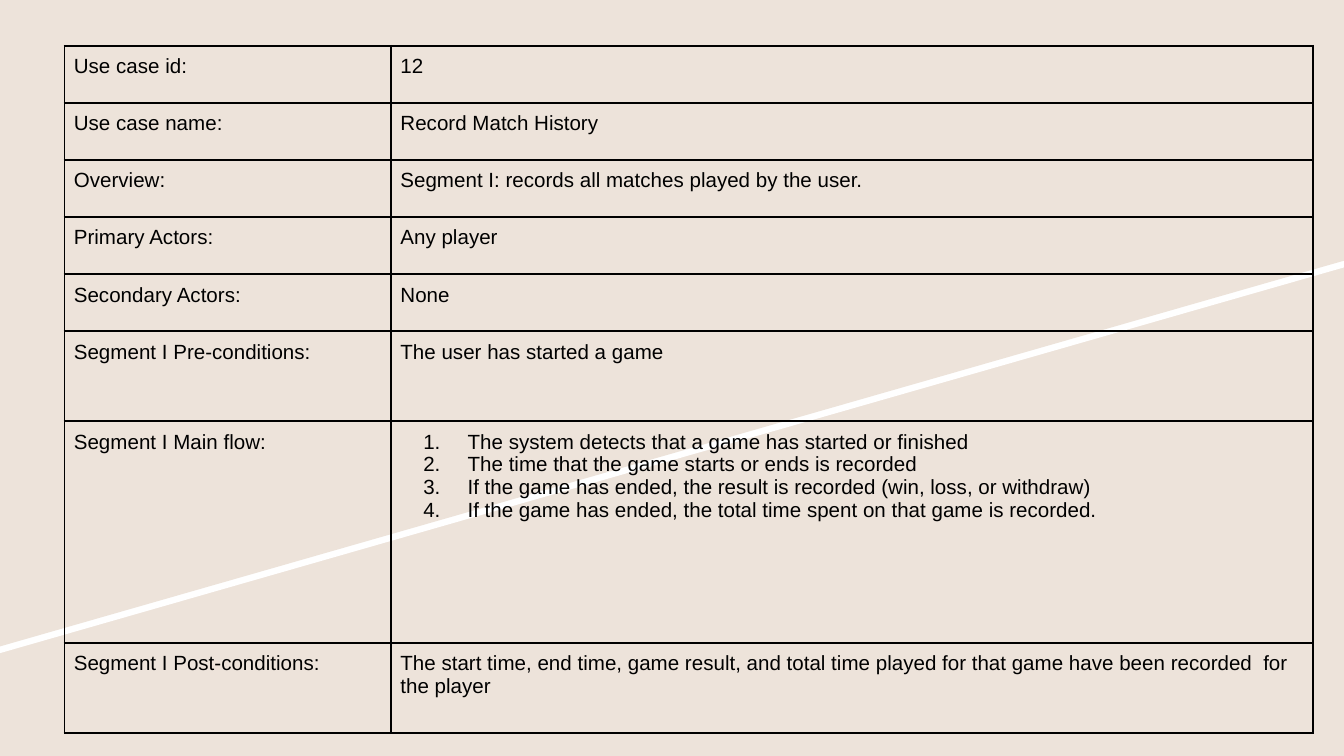
from dataclasses import dataclass

from lxml.etree import SubElement
from pptx import Presentation
from pptx.dml.color import RGBColor
from pptx.oxml import parse_xml
from pptx.oxml.ns import nsdecls, qn
from pptx.slide import Slide
from pptx.table import _Cell
from pptx.text.text import _Paragraph
from pptx.util import Inches, Pt

BEIGE = RGBColor(0xED, 0xE3, 0xDA)
WHITE = RGBColor(0xFF, 0xFF, 0xFF)
BLACK = RGBColor(0x00, 0x00, 0x00)

PAGE_WIDTH = 10
PAGE_HEIGHT = PAGE_WIDTH * 9 / 16
COLUMN_WIDTHS = (2.43, 6.86)
TALL_ROW = 0.67
SHORT_ROW = 0.85 / 2
CELL_INSET = Inches(0.07)
BORDER_WIDTH = Pt(1)


@dataclass
class UseCaseRow:
    label: str
    lines: tuple[str, ...]
    height: float = SHORT_ROW
    numbered: bool = False


ROWS = (
    UseCaseRow("Use case id:", ("12",)),
    UseCaseRow("Use case name:", ("Record Match History",)),
    UseCaseRow("Overview:", ("Segment I: records all matches played by the user.",)),
    UseCaseRow("Primary Actors:", ("Any player",)),
    UseCaseRow("Secondary Actors:", ("None",)),
    UseCaseRow("Segment I Pre-conditions:", ("The user has started a game",), TALL_ROW),
    UseCaseRow(
        "Segment I Main flow:",
        (
            "The system detects that a game has started or finished",
            "The time that the game starts or ends is recorded",
            "If the game has ended, the result is recorded (win, loss, or withdraw)",
            "If the game has ended, the total time spent on that game is recorded.",
        ),
        1.65,
        numbered=True,
    ),
    UseCaseRow(
        "Segment I Post-conditions:",
        ("The start time, end time, game result, and total time played "
         "for that game have been recorded  for the player",),
        TALL_ROW,
    ),
)


def add_slanted_panel(page: Slide, top: float, color: RGBColor) -> None:
    """Draw a full-width panel whose lower edge rises to the right."""
    builder = page.shapes.build_freeform(0, Inches(top))
    corners = ((PAGE_WIDTH, top), (PAGE_WIDTH, top + 1.94), (0, top + 4.81))
    builder.add_line_segments([(Inches(x), Inches(y)) for x, y in corners])
    panel = builder.convert_to_shape()
    panel.shadow.inherit = False
    panel.fill.solid()
    panel.fill.fore_color.rgb = color
    panel.line.fill.background()


def number_paragraph(para: _Paragraph) -> None:
    """Give a paragraph a black automatic number and a hanging indent."""
    properties = para._p.get_or_add_pPr()
    properties.set("marL", str(Inches(0.5)))
    properties.set("indent", str(Inches(-0.33)))
    bullet_color = SubElement(properties, qn("a:buClr"))
    SubElement(bullet_color, qn("a:srgbClr"), val=str(BLACK))
    SubElement(properties, qn("a:buAutoNum"), type="arabicPeriod")


def add_borders(cell: _Cell) -> None:
    """Outline all four sides of a cell."""
    properties = cell._tc.get_or_add_tcPr()
    for position, side in enumerate(("lnL", "lnR", "lnT", "lnB")):
        border = parse_xml(
            f'<a:{side} {nsdecls("a")} w="{BORDER_WIDTH}"><a:solidFill>'
            f'<a:srgbClr val="{BLACK}"/></a:solidFill></a:{side}>'
        )
        properties.insert(position, border)


def fill_cell(cell: _Cell, lines: tuple[str, ...], numbered: bool = False) -> None:
    """Write the lines of a cell and set its look."""
    cell.margin_left = cell.margin_right = CELL_INSET
    cell.margin_top = cell.margin_bottom = CELL_INSET
    cell.fill.background()
    add_borders(cell)
    frame = cell.text_frame
    for index, line in enumerate(lines):
        para = frame.add_paragraph() if index else frame.paragraphs[0]
        span = para.add_run()
        span.text = line
        span.font.name = "Arial"
        span.font.size = Pt(11)
        span.font.color.rgb = BLACK
        if numbered:
            number_paragraph(para)


def add_use_case_table(page: Slide, rows: tuple[UseCaseRow, ...]) -> None:
    """Add the two-column table of labels and descriptions."""
    frame = page.shapes.add_table(
        len(rows), len(COLUMN_WIDTHS), Inches(0.48), Inches(0.34),
        Inches(sum(COLUMN_WIDTHS)), Inches(sum(row.height for row in rows)),
    )
    table = frame.table
    table.first_row = table.horz_banding = False
    for column, width in zip(table.columns, COLUMN_WIDTHS):
        column.width = Inches(width)
    for index, row in enumerate(rows):
        table.rows[index].height = Inches(row.height)
        fill_cell(table.cell(index, 0), (row.label,))
        fill_cell(table.cell(index, 1), row.lines, row.numbered)


def main() -> None:
    deck = Presentation()
    deck.slide_width, deck.slide_height = Inches(PAGE_WIDTH), Inches(PAGE_HEIGHT)
    page = deck.slides.add_slide(deck.slide_layouts[6])

    # Background: the white panel shows as a stripe below the beige one
    page.background.fill.solid()
    page.background.fill.fore_color.rgb = BEIGE
    add_slanted_panel(page, 0.05, WHITE)
    add_slanted_panel(page, 0, BEIGE)

    # Use case description
    add_use_case_table(page, ROWS)
    deck.save("out.pptx")


if __name__ == "__main__":
    main()
